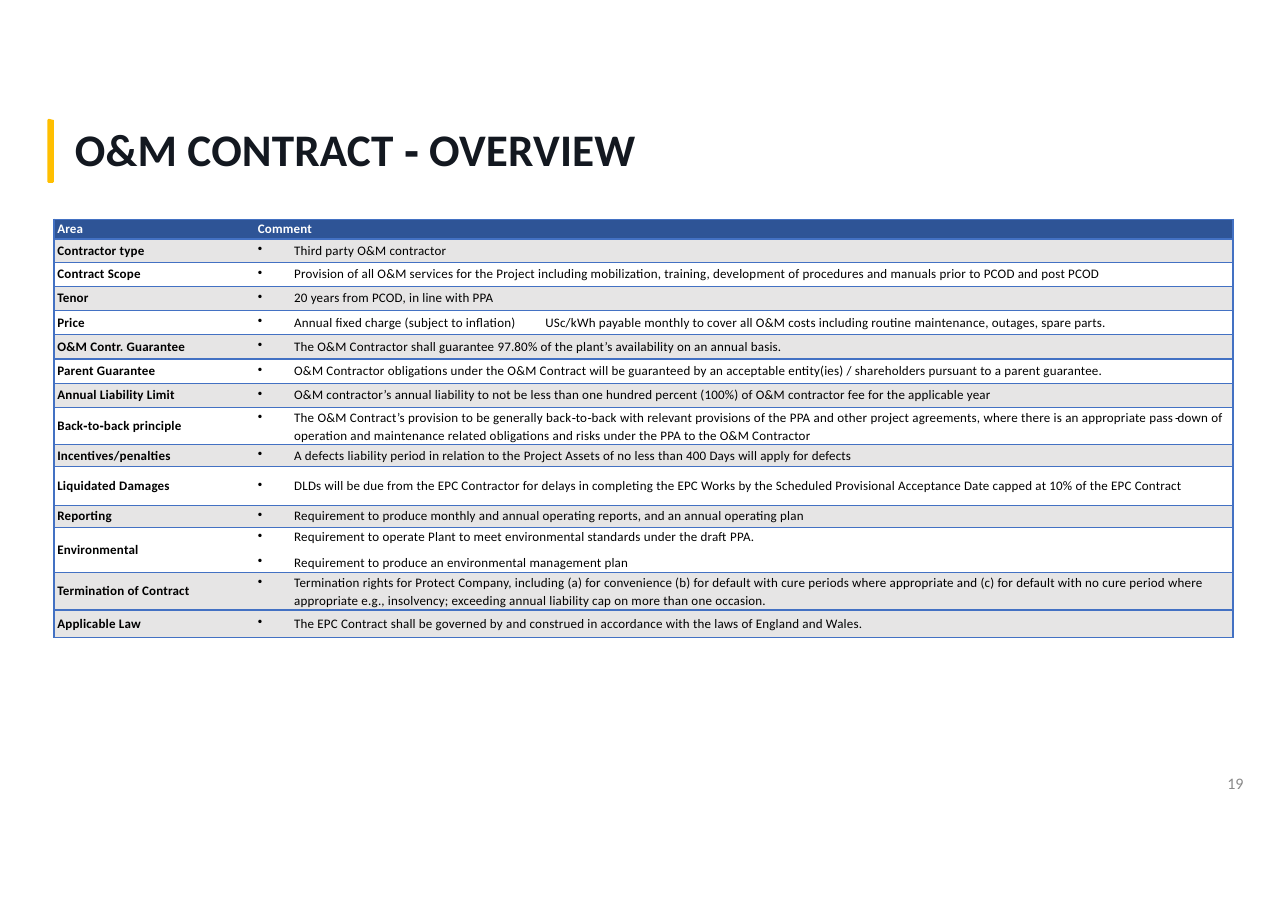
import pptx
import pptx.dml.color
import pptx.enum.text
import pptx.oxml
import pptx.oxml.ns
import pptx.util
from pptx.util import Inches

Pt = pptx.util.Pt
Anchor = pptx.enum.text.MSO_ANCHOR
Align = pptx.enum.text.PP_ALIGN

COLORS = {
    "title": "131820",
    "accent": "FFBF00",
    "header": "2E5496",
    "band": "E6E5E5",
    "border": "4371C3",
    "white": "FFFFFF",
    "black": "000000",
    "number": "898989",
}
NO_STYLE = "{2D5ABB26-0587-4C30-8999-92F81FD0307C}"
TERM_TABS = [0.63]
PRICE_TABS = [0.63, 2.91]

HEADER = (0.18, "Area", ["Comment"])
# Row height, area, comments
TERMS = [
    (0.21, "Contractor type", ["Third party O&M contractor"]),
    (0.22, "Contract Scope", [
        "Provision of all O&M services for the Project including mobilization, training, "
        "development of procedures and manuals prior to PCOD and post PCOD"]),
    (0.22, "Tenor", ["20 years from PCOD, in line with PPA"]),
    (0.22, "Price", [
        "Annual fixed charge (subject to inflation)\tUSc/kWh payable monthly to cover all "
        "O&M costs including routine maintenance, outages, spare parts."]),
    (0.22, "O&M Contr. Guarantee", [
        "The O&M Contractor shall guarantee 97.80% of the plant’s availability on an annual basis."]),
    (0.22, "Parent Guarantee", [
        "O&M Contractor obligations under the O&M Contract will be guaranteed by an acceptable "
        "entity(ies) / shareholders pursuant to a parent guarantee."]),
    (0.22, "Annual Liability Limit", [
        "O&M contractor’s annual liability to not be less than one hundred percent (100%) of "
        "O&M contractor fee for the applicable year"]),
    (0.34, "Back‐to‐back principle", [
        "The O&M Contract’s provision to be generally back‐to‐back with relevant provisions of "
        "the PPA and other project agreements, where there is an appropriate pass‐down of "
        "operation and maintenance related obligations and risks under the PPA to the O&M Contractor"]),
    (0.2, "Incentives/penalties", [
        "A defects liability period in relation to the Project Assets of no less than 400 Days "
        "will apply for defects"]),
    (0.35, "Liquidated Damages", [
        "DLDs will be due from the EPC Contractor for delays in completing the EPC Works by the "
        "Scheduled Provisional Acceptance Date capped at 10% of the EPC Contract"]),
    (0.2, "Reporting", [
        "Requirement to produce monthly and annual operating reports, and an annual operating plan"]),
    (0.41, "Environmental", [
        "Requirement to operate Plant to meet environmental standards under the draft PPA.",
        "Requirement to produce an environmental management plan"]),
    (0.34, "Termination of Contract", [
        "Termination rights for Protect Company, including (a) for convenience (b) for default "
        "with cure periods where appropriate and (c) for default with no cure period where "
        "appropriate e.g., insolvency; exceeding annual liability cap on more than one occasion."]),
    (0.25, "Applicable Law", [
        "The EPC Contract shall be governed by and construed in accordance with the laws of "
        "England and Wales."]),
]


def apply_format(target, values):
    for name, value in values.items():
        setattr(target, name, value)


def color(name):
    return pptx.dml.color.RGBColor.from_string(COLORS[name])


def make_element(parent, tag, **attributes):
    element = parent.makeelement(pptx.oxml.ns.qn(tag), attributes)
    parent.append(element)
    return element


def add_run(paragraph, text, color_name, size, spacing=0, **font_format):
    run = paragraph.add_run()
    run.text = text
    apply_format(run.font, {"name": "Calibri", "size": Pt(size), **font_format})
    run.font.color.rgb = color(color_name)
    if spacing:
        run.font._element.set("spc", str(spacing))


def set_indent(paragraph, left, first=0.0):
    properties = paragraph._p.get_or_add_pPr()
    properties.set("marL", str(Inches(left)))
    properties.set("indent", str(Inches(first)))
    return properties


def format_frame(frame, top=0):
    apply_format(frame, {
        "margin_left": 0, "margin_right": 0, "margin_top": Inches(top), "margin_bottom": 0,
        "word_wrap": True, "vertical_anchor": Anchor.TOP,
        "auto_size": pptx.enum.text.MSO_AUTO_SIZE.NONE})


def place_title(slide):
    title = slide.shapes.title
    apply_format(title, {"left": Inches(0.67), "top": Inches(1.06),
                         "width": Inches(5.14), "height": Inches(0.52)})
    format_frame(title.text_frame, top=0.04)
    paragraph = title.text_frame.paragraphs[0]
    paragraph.alignment = Align.LEFT
    set_indent(paragraph, 0.01)
    add_run(paragraph, "O&M CONTRACT ‐ OVERVIEW", "title", 29.5, 10, bold=True)


def add_accent_bar(slide):
    outline = [(45, 108), (44, 108), (43, 109), (43, 165), (44, 166), (48, 166), (49, 165)]
    builder = slide.shapes.build_freeform(49, 109, scale=Inches(0.01))
    builder.add_line_segments(outline, close=True)
    bar = builder.convert_to_shape()
    bar.shadow.inherit = False
    bar.fill.solid()
    bar.fill.fore_color.rgb = color("accent")
    bar.line.fill.background()


def add_page_number(slide):
    box = slide.shapes.add_textbox(Inches(11.06), Inches(7.04), Inches(0.27), Inches(0.17))
    format_frame(box.text_frame)
    paragraph = box.text_frame.paragraphs[0]
    paragraph.line_spacing = Pt(11)
    set_indent(paragraph, 0.08)
    add_run(paragraph, "19", "number", 10.5)


def format_cell(cell, fill_name, sides):
    apply_format(cell, {"margin_left": 0, "margin_right": 0, "margin_top": 0,
                        "margin_bottom": 0, "vertical_anchor": Anchor.MIDDLE})
    properties = cell._tc.get_or_add_tcPr()
    # Borders come before the fill
    for side in sides:
        line = make_element(properties, f"a:ln{side}", w=str(Pt(1)))
        fill = make_element(line, "a:solidFill")
        make_element(fill, "a:srgbClr", val=COLORS["border"])
    if fill_name:
        cell.fill.solid()
        cell.fill.fore_color.rgb = color(fill_name)
    else:
        cell.fill.background()


def write_label(cell, text, color_name, indent):
    paragraph = cell.text_frame.paragraphs[0]
    set_indent(paragraph, indent)
    add_run(paragraph, text, color_name, 8.5, 10, bold=True)


def write_comments(cell, comments, two_lines):
    cell.margin_right = Inches(0.08)
    for index, comment in enumerate(comments):
        frame = cell.text_frame
        paragraph = frame.add_paragraph() if index else frame.paragraphs[0]
        if index:
            paragraph.space_before = Pt(6.5)
        if two_lines:
            paragraph.line_spacing = Pt(11.4)
        if comment.startswith("The O&M Contract’s"):
            paragraph.alignment = Align.JUSTIFY
        properties = set_indent(paragraph, 0.63, -0.33)
        make_element(properties, "a:buChar", char="•")
        tabs = make_element(properties, "a:tabLst")
        for position in PRICE_TABS if "\t" in comment else TERM_TABS:
            make_element(tabs, "a:tab", pos=str(Inches(position)), algn="l")
        before, tab, after = comment.partition("\t")
        add_run(paragraph, before, "black", 8.5, 10)
        if tab:
            add_run(paragraph, tab, "black", 8.5, 10, name="Times New Roman", underline=True)
            add_run(paragraph, after, "black", 8.5, 10)


def add_terms_table(slide):
    rows = [HEADER] + TERMS
    frame = slide.shapes.add_table(len(rows), 2, Inches(0.49), Inches(1.99),
                                   Inches(10.7), Inches(3.8))
    table = frame.table
    apply_format(table, {"first_row": False, "horz_banding": False})
    table._tbl.tblPr.find(pptx.oxml.ns.qn("a:tableStyleId")).text = NO_STYLE
    for column, width in zip(table.columns, (1.55, 9.15)):
        column.width = Inches(width)
    for index, (height, area, comments) in enumerate(rows):
        table.rows[index].height = Inches(height)
        area_cell, comment_cell = table.cell(index, 0), table.cell(index, 1)
        banded = index % 2 or index == len(rows) - 1
        fill_name = "header" if index == 0 else "band" if banded else None
        format_cell(area_cell, fill_name, "LTB")
        format_cell(comment_cell, fill_name, "RTB")
        write_label(area_cell, area, "black" if index else "white", 0.03)
        if index:
            write_comments(comment_cell, comments, height == 0.34)
        else:
            write_label(comment_cell, comments[0], "white", 0.3)


def main():
    presentation = pptx.Presentation()
    apply_format(presentation, {"slide_width": Inches(11.69), "slide_height": Inches(8.27)})
    slide = presentation.slides.add_slide(presentation.slide_layouts[5])
    place_title(slide)
    add_accent_bar(slide)
    add_terms_table(slide)
    add_page_number(slide)
    presentation.save("out.pptx")


if __name__ == "__main__":
    main()
